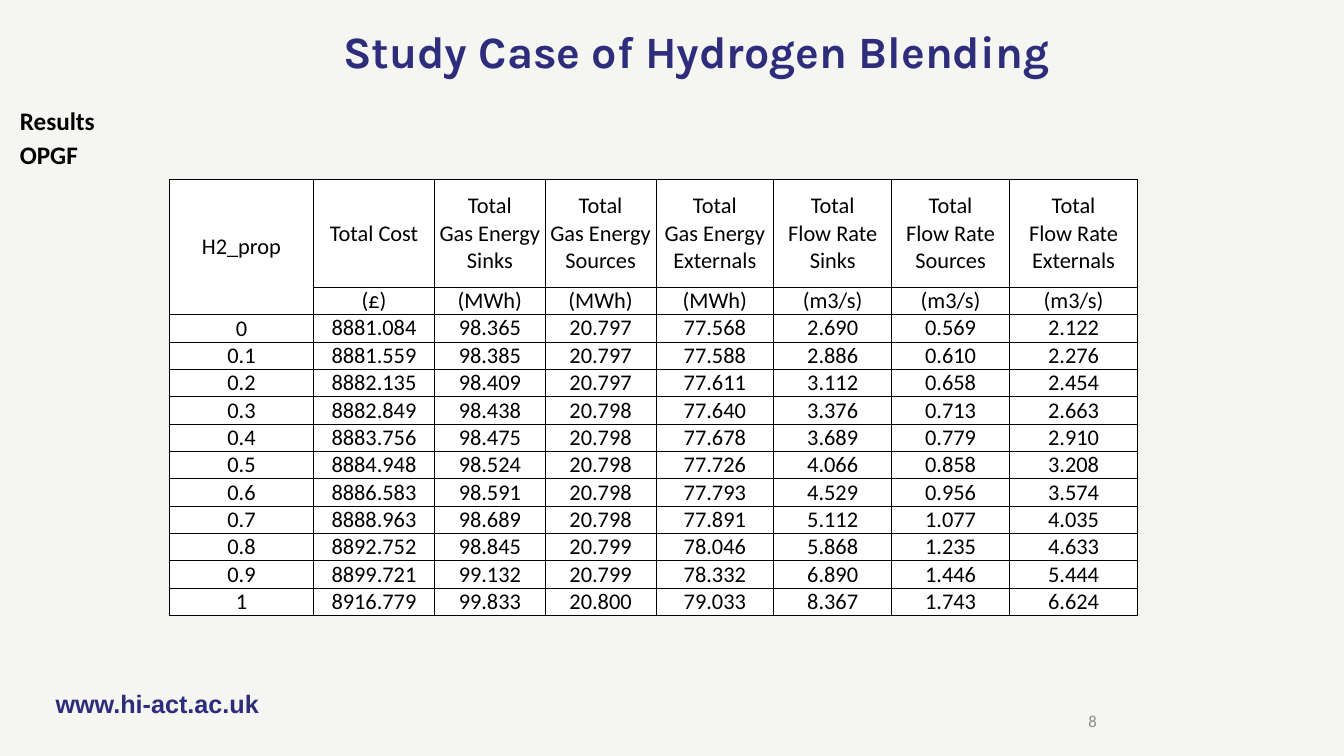
from lxml import etree
from pptx import Presentation
from pptx.dml.color import RGBColor
from pptx.enum.text import MSO_ANCHOR, PP_ALIGN
from pptx.oxml.ns import qn
from pptx.util import Cm, Pt

LEFT, CENTER, RIGHT = PP_ALIGN.LEFT, PP_ALIGN.CENTER, PP_ALIGN.RIGHT
TOP, MIDDLE, BOTTOM = MSO_ANCHOR.TOP, MSO_ANCHOR.MIDDLE, MSO_ANCHOR.BOTTOM
COLORS = {"background": "F5F5F2", "navy": "2D2D7C", "grey": "8C8C8C",
          "black": "000000", "white": "FFFFFF"}


def write(frame, text, size, font, color, bold=False, align=LEFT):
    frame.text = text
    for paragraph in frame.paragraphs:
        paragraph.alignment = align
        paragraph.font.size = Pt(size)
        paragraph.font.name = font
        paragraph.font.bold = bold
        paragraph.font.color.rgb = RGBColor.from_string(COLORS[color])


def add_border(cell, side, points):
    line = etree.SubElement(cell._tc.get_or_add_tcPr(), qn(f"a:ln{side}"), w=str(Pt(points)))
    fill = etree.SubElement(line, qn("a:solidFill"))
    etree.SubElement(fill, qn("a:srgbClr"), val=COLORS["black"])


prs = Presentation()
prs.slide_width, prs.slide_height = Cm(33.87), Cm(19.05)
slide = prs.slides.add_slide(prs.slide_layouts[5])
slide.background.fill.solid()
slide.background.fill.fore_color.rgb = RGBColor.from_string(COLORS["background"])

# Title
title = slide.shapes.title
title.left, title.top, title.width, title.height = Cm(5.64), Cm(0.46), Cm(23.83), Cm(1.63)
title.text_frame.vertical_anchor = TOP
write(title.text_frame, "Study Case of Hydrogen Blending", 32, "Karla", "navy", True, CENTER)

# Section labels, web address and page number
labels = [
    ("Results", 0.25, 2.54, 4.01, 1.02, 18, "Calibri", "black", True, LEFT),
    ("OPGF", 0.25, 3.38, 2.67, 1.02, 18, "Calibri", "black", True, LEFT),
    ("www.hi-act.ac.uk", 1.4, 17.35, 16.94, 0.76, 18, "Arial", "navy", True, LEFT),
    ("8", 22.17, 17.65, 5.72, 1.02, 12, "Calibri", "grey", False, RIGHT),
]
for text, left, top, width, height, *style in labels:
    label = slide.shapes.add_textbox(Cm(left), Cm(top), Cm(width), Cm(height))
    frame = label.text_frame
    frame.word_wrap = True
    if text == "8":
        frame.vertical_anchor = MIDDLE
    if text.startswith("www"):
        frame.margin_left = frame.margin_top = frame.margin_right = frame.margin_bottom = 0
    write(frame, text, *style)

# Results table
results = [
    ["H2_prop", "Total Cost", "Total\nGas Energy\nSinks", "Total\nGas Energy\nSources",
     "Total\nGas Energy Externals", "Total\nFlow Rate\nSinks", "Total\nFlow Rate\nSources",
     "Total\nFlow Rate Externals"],
    ["", "(£)", "(MWh)", "(MWh)", "(MWh)", "(m3/s)", "(m3/s)", "(m3/s)"],
    ["0", "8881.084", "98.365", "20.797", "77.568", "2.690", "0.569", "2.122"],
    ["0.1", "8881.559", "98.385", "20.797", "77.588", "2.886", "0.610", "2.276"],
    ["0.2", "8882.135", "98.409", "20.797", "77.611", "3.112", "0.658", "2.454"],
    ["0.3", "8882.849", "98.438", "20.798", "77.640", "3.376", "0.713", "2.663"],
    ["0.4", "8883.756", "98.475", "20.798", "77.678", "3.689", "0.779", "2.910"],
    ["0.5", "8884.948", "98.524", "20.798", "77.726", "4.066", "0.858", "3.208"],
    ["0.6", "8886.583", "98.591", "20.798", "77.793", "4.529", "0.956", "3.574"],
    ["0.7", "8888.963", "98.689", "20.798", "77.891", "5.112", "1.077", "4.035"],
    ["0.8", "8892.752", "98.845", "20.799", "78.046", "5.868", "1.235", "4.633"],
    ["0.9", "8899.721", "99.132", "20.799", "78.332", "6.890", "1.446", "5.444"],
    ["1", "8916.779", "99.833", "20.800", "79.033", "8.367", "1.743", "6.624"],
]
column_widths = [3.63, 3.05, 2.79, 2.79, 2.97, 2.97, 2.97, 3.23]
last_row = len(results) - 1
table = slide.shapes.add_table(len(results), len(column_widths), Cm(4.27), Cm(4.52),
                               Cm(sum(column_widths)), Cm(10.97)).table
table.first_row = table.horz_banding = False
for column, width in zip(table.columns, column_widths):
    column.width = Cm(width)
for r, values in enumerate(results):
    table.rows[r].height = Cm(0.69 if r else 2.72)
    for c, value in enumerate(values):
        cell = table.cell(r, c)
        cell.margin_left = cell.margin_right = cell.margin_top = cell.margin_bottom = 0
        cell.vertical_anchor = BOTTOM if r > 1 and c > 0 else MIDDLE
        write(cell.text_frame, value, 16, "Calibri", "black", align=CENTER)
        # The left, top and bottom edges of the table are heavier
        add_border(cell, "L", 1 if c == 0 else 0.5)
        add_border(cell, "R", 0.5)
        add_border(cell, "T", 1 if r == 0 else 0.5)
        add_border(cell, "B", 1 if r == last_row else 0.5)
        cell.fill.solid()
        cell.fill.fore_color.rgb = RGBColor.from_string(COLORS["white"])
table.cell(0, 0).merge(table.cell(1, 0))

prs.save("out.pptx")
